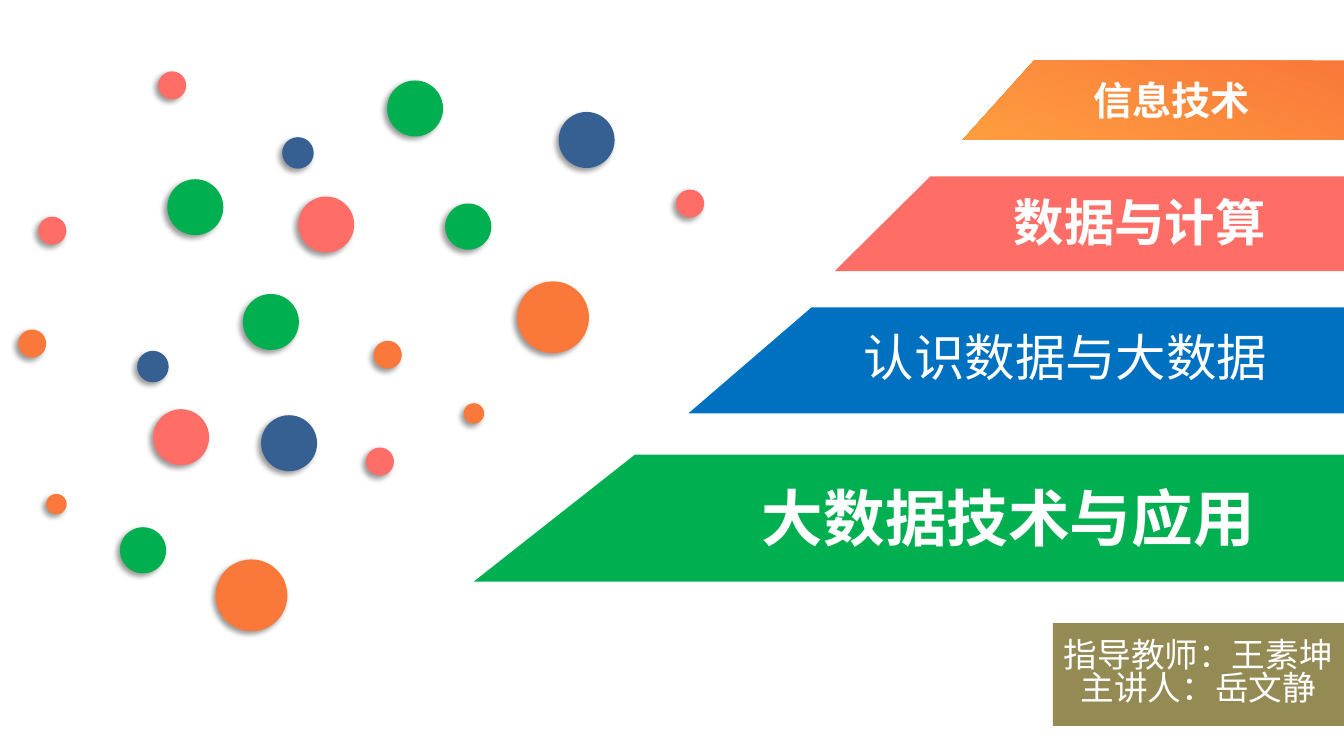
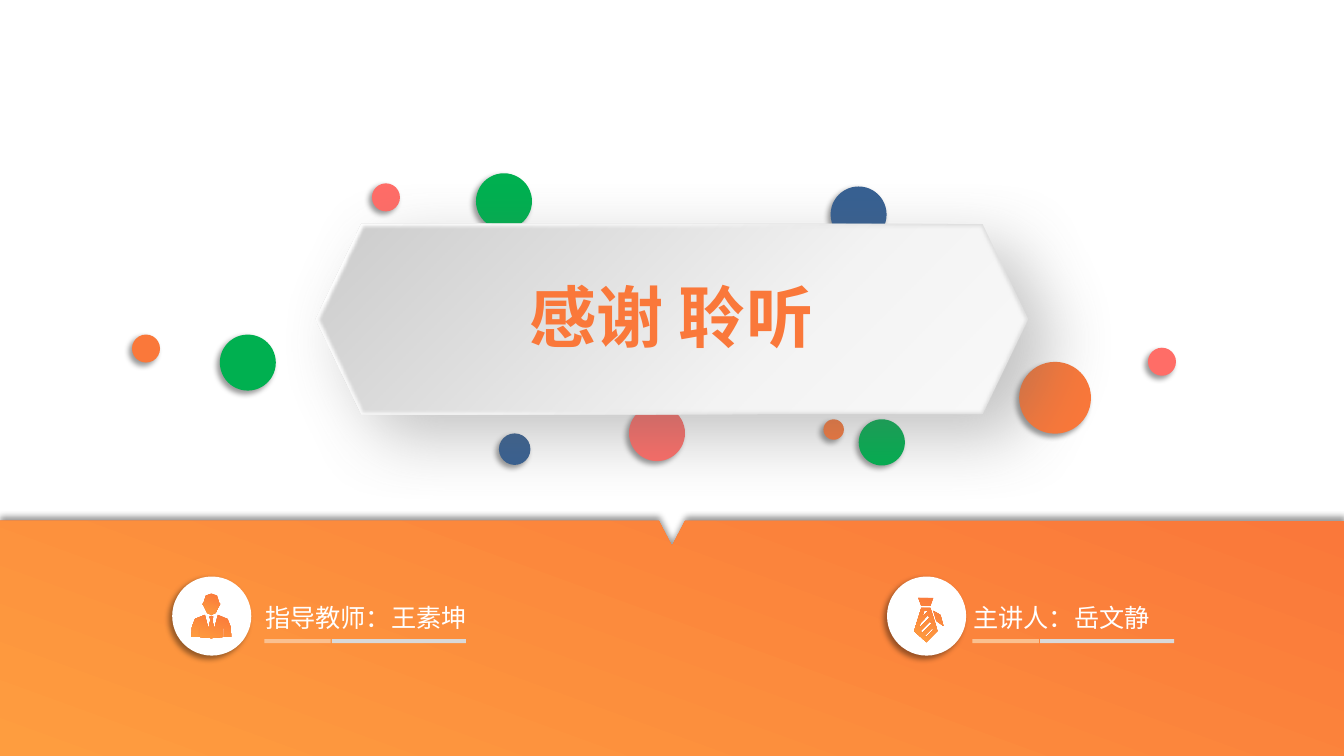
from lxml.etree import SubElement as Sub
from pptx import Presentation
from pptx.dml.color import RGBColor as RGB
from pptx.enum.shapes import MSO_SHAPE as Form
from pptx.enum.text import MSO_ANCHOR as Anchor, MSO_AUTO_SIZE as Auto, PP_ALIGN as Align
from pptx.oxml.ns import qn
from pptx.util import Pt


class Theme:
    green, red, navy, orange = "00B050", "FF6D67", "376092", "FA783A"
    blue, olive, white = "0070C0", "948A54", "FFFFFF"
    peach, gray = "FAC090", "D9D9D9"
    # Gradients: clockwise angle, then stops
    glow = (110, [(0, orange), (100, "FE9D3F")])
    rim = (225, [(1, "DEDEDE"), (30, "E0E0E0"), (61, "F6F6F6"), (100, "FFFFFF")])
    face = (45, [(0, "CBCBCB"), (32, "DEDEDE"), (64, "F3F3F3"), (100, "F9F9F9")])
    # Shadows: colour, blur, distance, direction
    drop = ("000000", 4, 3, 135)
    lift = ("000000", 4, 3, 270)
    cast = ("696969", 49, 25, 40)
    jp, sc = "Noto Sans CJK JP", "Noto Sans CJK SC"
    # Text styles: colour and font values
    course = (white, {"name": jp, "size": Pt(28), "bold": True})
    unit = (white, {"name": jp, "size": Pt(36), "bold": True})
    topic = (white, {"name": sc, "size": Pt(36), "bold": False})
    title = (white, {"name": sc, "size": Pt(44), "bold": True})
    thanks = (orange, {"name": sc, "size": Pt(48), "bold": True})
    staff = (white, {"name": jp, "size": Pt(24), "bold": False})
    label = (white, {"name": sc, "size": Pt(18), "bold": False})


def draw(slide, form, fill, box=None, shadow=None):
    """Add a preset shape in a box, or a freeform from a list of closed contours."""
    if box:
        shape = slide.shapes.add_shape(form, *map(Pt, box))
    else:
        fine = [[(x * 100, y * 100) for x, y in loop] for loop in form]
        pen = slide.shapes.build_freeform(*fine[0][0], scale=Pt(1) / 100)
        for i, loop in enumerate(fine):
            if i:
                pen.move_to(*loop[0])
            pen.add_line_segments(loop[1:], close=True)
        shape = pen.convert_to_shape()
    if isinstance(fill, str):
        shape.fill.solid()
        shape.fill.fore_color.rgb = RGB.from_string(fill)
    else:
        angle, stops = fill
        shape.fill.gradient()
        shape.fill.gradient_angle = 360 - angle
        ramp = shape.element.spPr.find(".//" + qn("a:gsLst"))
        ramp.clear()
        for place, color in stops:
            stop = Sub(ramp, qn("a:gs"), pos=str(place * 1000))
            Sub(stop, qn("a:srgbClr"), val=color)
    shape.line.fill.background()
    shape.shadow.inherit = False
    if shadow:
        color, blur, dist, turn = shadow
        effect = shape.element.spPr.find(qn("a:effectLst"))
        outer = Sub(effect, qn("a:outerShdw"), blurRad=str(Pt(blur)), dist=str(Pt(dist)),
                    dir=str(turn * 60000), algn="ctr", rotWithShape="0")
        Sub(Sub(outer, qn("a:srgbClr"), val=color), qn("a:alpha"), val="40000")
    return shape


def write(slide, box, lines, style, align=Align.LEFT, holder=None):
    """Write lines into a placeholder, brought to the front, or a new text box."""
    shape = holder or slide.shapes.add_textbox(*map(Pt, box))
    for name, value in zip(("left", "top", "width", "height"), box):
        setattr(shape, name, Pt(value))
    shape.element.getparent().append(shape.element)
    frame = shape.text_frame
    frame.text = "\n".join(lines)
    for name, value in {"word_wrap": True, "auto_size": Auto.NONE,
                        "vertical_anchor": Anchor.MIDDLE}.items():
        setattr(frame, name, value)
    color, values = style
    for para in frame.paragraphs:
        para.alignment = align
        para.space_before = Pt(0)
        font = para.runs[0].font
        font.color.rgb = RGB.from_string(color)
        for name, value in values.items():
            setattr(font, name, value)
        Sub(para.runs[0].font._element, qn("a:ea"), typeface=values["name"])
    return shape


deck = Presentation()
wide, high = 960, 540
deck.slide_width, deck.slide_height = Pt(wide), Pt(high)
cover = deck.slides.add_slide(deck.slide_layouts[0])
close = deck.slides.add_slide(deck.slide_layouts[5])
staff = ["指导教师：王素坤", "主讲人：岳文静"]

# Scattered balls: colour, size, places on the cover, places on the closing slide
balls = [
    (Theme.green, 40, [(173.5, 210), (119.5, 128), (276.5, 57.5)], [(340, 123.8), (157, 239)]),
    (Theme.red, 40, [(109.4, 292.3), (213, 140.4)], [(449.3, 289.4)]),
    (Theme.navy, 40, [(186.5, 296.6), (399, 80)], [(593.3, 133.2)]),
    (Theme.orange, 51.3, [(154, 399.6), (369.4, 201)], [(728, 258.5)]),
    (Theme.green, 33, [(85.7, 376.6), (318, 145.4)], [(613.4, 299.5)]),
    (Theme.navy, 22.5, [(98, 250.6), (201.6, 98)], [(356.4, 309.6)]),
    (Theme.orange, 20, [(13, 235.4), (267, 243.4)], [(94.3, 239)]),
    (Theme.red, 20, [(27.4, 154.8), (261.4, 319.7), (113, 51), (483, 135.4)],
     [(265.7, 131), (820, 248.4)]),
    (Theme.orange, 14.6, [(33, 352.8), (331.2, 288)], [(588.2, 299.5)]),
]
for color, size, *spots in balls:
    for slide, places in zip((cover, close), spots):
        for x, y in places:
            draw(slide, Form.OVAL, color, (x, y, size, size), Theme.drop)

# Cover bands: top, bottom, upper left, lower left, fill, text box, text, style, holder
bands = [
    (43.2, 100, 738.7, 687.6, Theme.glow, (774, 51, 127.5, 41),
     "信息技术", Theme.course, None),
    (126, 193.7, 664.6, 596.2, Theme.red, (717, 132.5, 196.5, 51),
     "数据与计算", Theme.unit, None),
    (219.6, 295.2, 579.6, 491.8, Theme.blue, (610, 229, 304, 51),
     "认识数据与大数据", Theme.topic, None),
    (324.7, 415.4, 453.6, 338.4, Theme.green, (537, 339, 383, 60.5),
     "大数据技术与应用", Theme.title, cover.shapes.title),
]
for top, base, upper, lower, fill, box, text, style, holder in bands:
    draw(cover, [[(upper, top), (wide, top), (wide, base), (lower, base)]], fill)
    write(cover, box, [text], style, holder=holder)

panel = write(cover, (752, 445, 208, 73.5), staff, Theme.staff, Align.CENTER,
              cover.placeholders[1])
panel.fill.solid()
panel.fill.fore_color.rgb = RGB.from_string(Theme.olive)
for para in panel.text_frame.paragraphs:
    para.line_spacing = 0.8

# Closing plaque
for fill, shadow in ((Theme.rim, Theme.cast), (Theme.face, None)):
    plaque = draw(close, Form.HEXAGON, fill, (225.5, 160, 509, 136), shadow)
    plaque.adjustments[0] = 0.24
Sub(plaque.element.spPr.find(qn("a:effectLst")), qn("a:softEdge"), rad=str(Pt(2.5)))
write(close, (242, 193, 475, 65.5), ["感谢 聆听"], Theme.thanks, Align.CENTER,
      close.shapes.title)

# Notched footer
floor, notch = 372, 9.4
mid = wide / 2
draw(close, [[(0, floor), (mid - notch, floor), (mid, floor + 18), (mid + notch, floor),
              (wide, floor), (wide, high), (0, high)]], Theme.glow, shadow=Theme.lift)

# Icons: the person is given as right halves, mirrored about its axis
axis = 151
head = [(0, 424), (4, 425.5), (5.5, 430.5), (6.3, 431.5), (5, 433.6), (3, 437.8), (0, 439.2)]
suit = [(0, 439.9), (1.4, 440.6), (0.7, 442.8), (2.1, 449.3), (4.6, 439.2), (11.6, 442.1),
        (13.8, 447.8), (14.2, 455), (9, 455), (9, 449.3), (8.3, 447.1), (8.3, 455), (0, 455.8)]
person = [[[(axis + x, y) for x, y in half] + [(axis - x, y) for x, y in half[-2:0:-1]]]
          for half in (suit, head)]
tie = [
    [(668.9, 443.5), (666.7, 436.3), (671.8, 439.2), (673.9, 447.1)],
    [(658.1, 432.7), (655.9, 427), (666.7, 427), (664.6, 432.7)],
    [(664.6, 434.2), (668.2, 445.7), (669.6, 450.7), (661.7, 458.6), (653, 450.7),
     (658.1, 434.2)],
    [(662.4, 436.3), (660.2, 436.3), (658.8, 440.6), (662.4, 437)],
    [(661.7, 455), (666.7, 450), (666, 448.6), (660.2, 454.3)],
    [(658.8, 452.2), (665.3, 445.7), (664.6, 443.5), (657.4, 450.7)],
    [(656.6, 448.6), (663.8, 441.4), (663.1, 439.2), (657.4, 445)],
]

# Staff entries: badge left, label left, name, icon
for badge, left, name, icon in ((123, 188.8, staff[0], person), (633.6, 694.6, staff[1], [tie])):
    draw(close, Form.OVAL, Theme.white, (badge, 411.8, 56.5, 56.5), Theme.drop)
    for part in icon:
        draw(close, part, Theme.glow)
    write(close, (left - 6.5, 427, 162, 27.5), [name], Theme.label)
    for shift, width, fill in ((0, 47.5, Theme.peach), (48.3, 95.8, Theme.gray)):
        draw(close, Form.RECTANGLE, fill, (left + shift, 456.5, width, 3))

deck.save("out.pptx")
